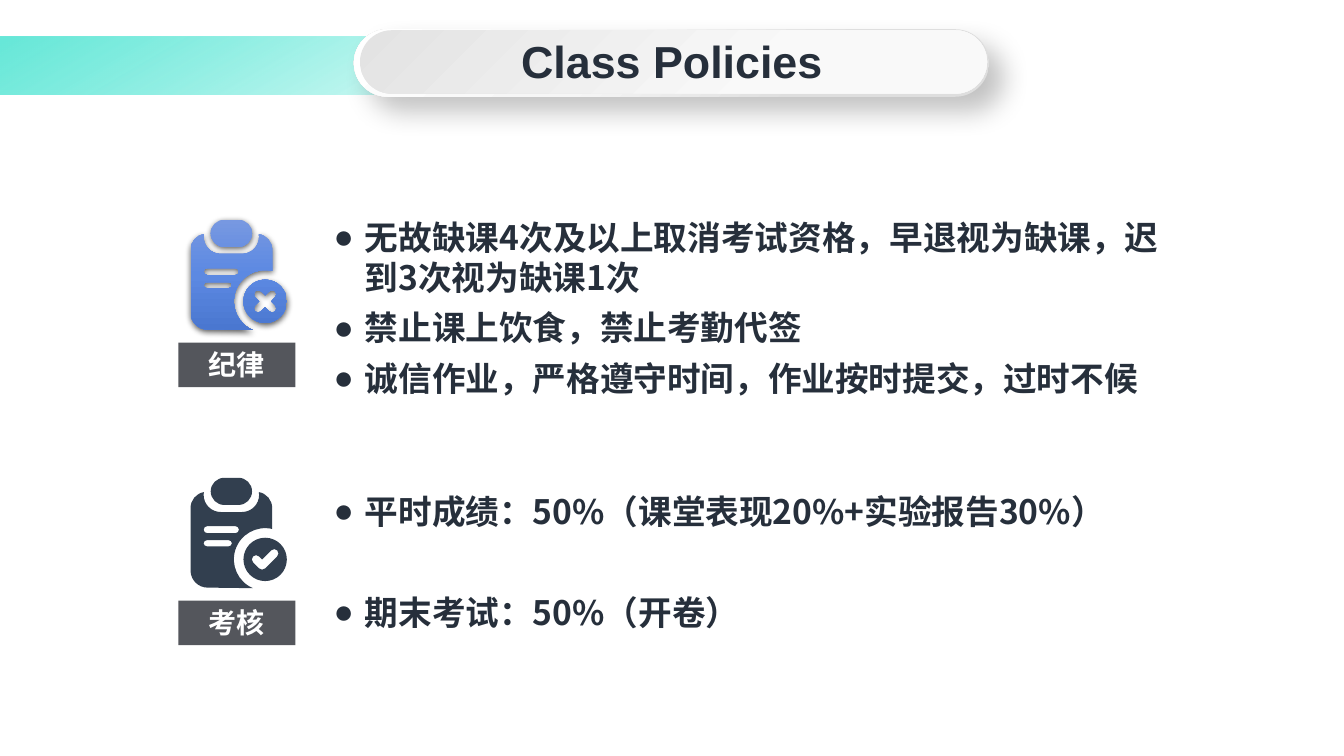
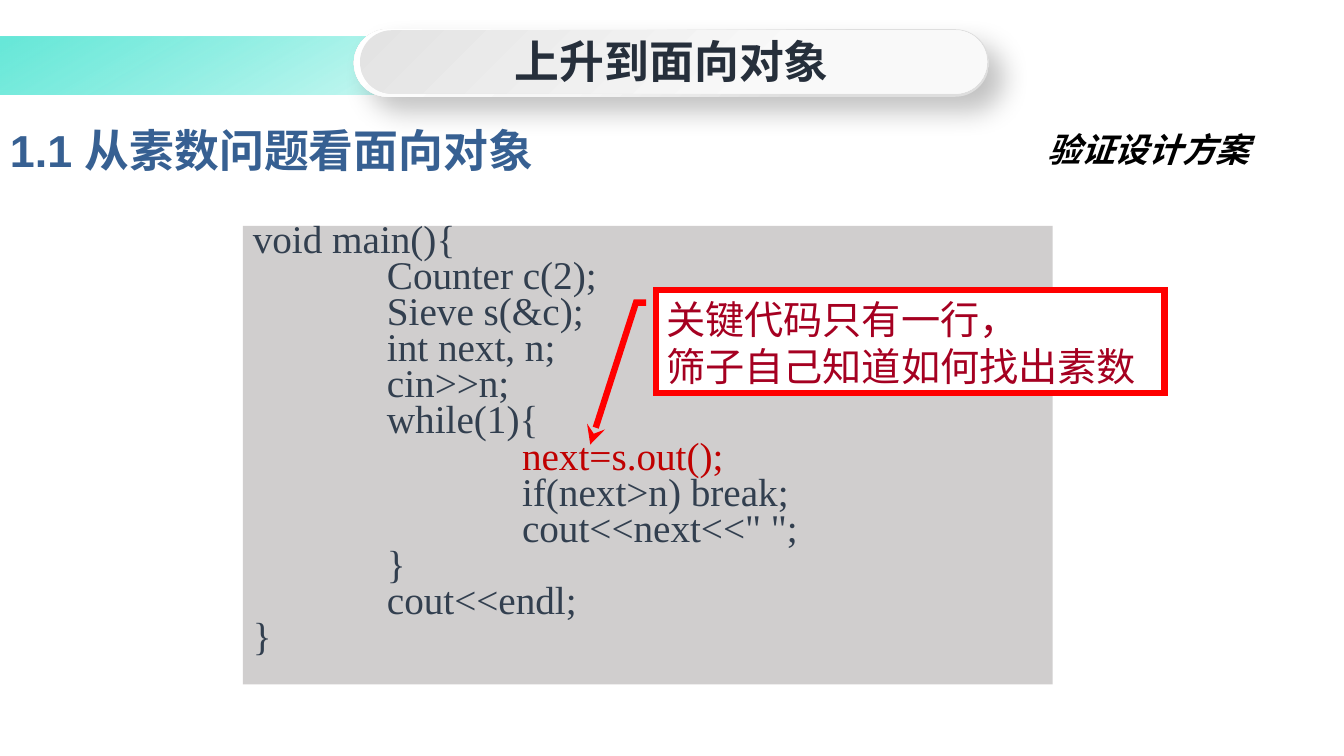
import math
from dataclasses import dataclass

import lxml.etree
import pptx
import pptx.dml.color
import pptx.enum.shapes
import pptx.enum.text
import pptx.oxml.ns
import pptx.util

EMU_PER_PX = 9144
UNITS_PER_PX = 100
SHAPE = pptx.enum.shapes.MSO_SHAPE
ALIGN = pptx.enum.text.PP_ALIGN
ANCHOR = pptx.enum.text.MSO_ANCHOR


@dataclass(frozen=True)
class Theme:
    ink: str = "262F3B"
    slate: str = "323F4F"
    label: str = "54565C"
    white: str = "FFFFFF"
    black: str = "000000"
    heading: str = "376092"
    code_back: str = "D0CECE"
    code_key: str = "C00000"
    callout_line: str = "FF0000"
    callout_text: str = "A50021"
    sans: str = "Arial"
    chinese: str = "Noto Sans CJK SC"
    serif: str = "Times New Roman"
    title_size: int = 32
    code_size: int = 28
    body_size: int = 24
    label_size: int = 20
    band: tuple = ((1, "4EE4D2", 85), (50, "20E2CB", 0))
    rim: tuple = ((1, "DEDEDE", 100), (30, "E0E0E0", 100),
                  (61, "F6F6F6", 100), (100, "FFFFFF", 100))
    plate: tuple = ((0, "E3E3E3", 100), (67, "F9F9F9", 100))
    blue: tuple = ((0, "7798E1", 100), (50, "5C89E2", 100), (100, "4A77D0", 100))


THEME = Theme()


def px(value):
    return pptx.util.Emu(round(value * EMU_PER_PX))


def rgb(value):
    return pptx.dml.color.RGBColor.from_string(value)


def apply_format(target, values):
    for name, value in values.items():
        setattr(target, name, value)


def add_xml(parent, tag, **attributes):
    element = lxml.etree.SubElement(parent, pptx.oxml.ns.qn(tag))
    for name, value in attributes.items():
        element.set(name, str(value))
    return element


def add_color(parent, color, opacity):
    element = add_xml(parent, "a:srgbClr", val=color)
    if opacity < 100:
        add_xml(element, "a:alpha", val=opacity * 1000)


def fill_solid(shape, color):
    shape.fill.solid()
    shape.fill.fore_color.rgb = rgb(color)


def fill_gradient(shape, stops, angle):
    shape.fill.background()
    properties = shape._element.spPr
    empty_fill = properties.find(pptx.oxml.ns.qn("a:noFill"))
    gradient = add_xml(properties, "a:gradFill", rotWithShape=1)
    stop_list = add_xml(gradient, "a:gsLst")
    for position, color, opacity in stops:
        add_color(add_xml(stop_list, "a:gs", pos=position * 1000), color, opacity)
    add_xml(gradient, "a:lin", ang=angle * 60000, scaled=0)
    properties.replace(empty_fill, gradient)


def cast_shadow(shape, opacity, blur, distance, angle):
    effects = shape._element.spPr.find(pptx.oxml.ns.qn("a:effectLst"))
    shadow = add_xml(effects, "a:outerShdw", blurRad=pptx.util.Pt(blur),
                     dist=pptx.util.Pt(distance), dir=angle * 60000,
                     algn="ctr", rotWithShape=0)
    add_color(shadow, THEME.black, opacity)


def add_box(slide, kind, left, top, width, height):
    shape = slide.shapes.add_shape(kind, px(left), px(top), px(width), px(height))
    shape.shadow.inherit = False
    shape.line.fill.background()
    return shape


def add_pill(slide, left, top, width, height):
    shape = add_box(slide, SHAPE.ROUNDED_RECTANGLE, left, top, width, height)
    shape.adjustments[0] = 0.5
    return shape


def add_text_box(slide, left, top, width, height):
    return slide.shapes.add_textbox(px(left), px(top), px(width), px(height))


def style_runs(paragraph, font, size, color, bold=False, italic=False):
    for run in paragraph.runs:
        apply_format(run.font, {"name": font, "size": pptx.util.Pt(size),
                                "bold": bold, "italic": italic})
        run.font.color.rgb = rgb(color)
        add_xml(run.font._element, "a:ea", typeface=THEME.chinese)


def write(shape, text, font, size, color, align=ALIGN.LEFT, anchor=ANCHOR.TOP,
          wrap=True, **style):
    frame = shape.text_frame
    apply_format(frame, {"word_wrap": wrap, "vertical_anchor": anchor})
    paragraph = frame.paragraphs[0]
    paragraph.text = text
    paragraph.alignment = align
    style_runs(paragraph, font, size, color, **style)
    return paragraph


def add_header(slide, title):
    band = add_box(slide, SHAPE.RECTANGLE, -1, 36, 1317, 58)
    fill_gradient(band, THEME.band, 60)
    rim = add_pill(slide, 351, 29, 630, 67)
    fill_gradient(rim, THEME.rim, 225)
    cast_shadow(rim, 24, 19, 14, 45)
    fill_gradient(add_pill(slide, 357, 30, 622, 63), THEME.plate, 45)
    write(add_text_box(slide, 381, 29, 571, 64), title, THEME.sans,
          THEME.title_size, THEME.ink, align=ALIGN.CENTER, bold=True)


def add_bullet(slide, text, top, height=50, width=838):
    paragraph = write(add_text_box(slide, 321, top, width, height), text,
                      THEME.chinese, THEME.body_size, THEME.ink,
                      align=ALIGN.JUSTIFY, bold=True)
    properties = paragraph._p.get_or_add_pPr()
    properties.set("marL", str(px(31)))
    properties.set("indent", str(px(-31)))
    add_xml(properties, "a:buFont", typeface=THEME.sans)
    add_xml(properties, "a:buChar", char="●")


def polar(x, y, radius, angle):
    turn = math.radians(angle)
    return x + radius * math.cos(turn), y + radius * math.sin(turn)


def arc(x, y, radius, start, end):
    count = math.ceil(abs(end - start) / 90)
    step = (end - start) / count
    handle = 4 / 3 * math.tan(math.radians(step) / 4)
    reach = radius * math.hypot(1, handle)
    lean = math.degrees(math.atan(handle))
    segments = [[polar(x, y, radius, start)]]
    for index in range(count):
        first = start + index * step
        last = first + step
        segments.append([polar(x, y, reach, first + lean),
                         polar(x, y, reach, last - lean),
                         polar(x, y, radius, last)])
    return segments


def capsule(left, top, width, height):
    radius = height / 2
    middle = top + radius
    return (arc(left + width - radius, middle, radius, -90, 90)
            + arc(left + radius, middle, radius, 90, 270))


def clipboard_contours():
    sheet = (arc(51, 17, 17, 0, 90) + arc(30, 17, 17, 90, 180)
             + arc(16, 30, 16, 260, 180) + arc(17, 92, 17, 180, 90)
             + arc(74, 81, 31, 113, 283) + arc(65, 30, 16, 0, -80))
    return [capsule(20, 0, 41, 27), sheet, capsule(13, 62, 28, 6),
            capsule(13, 48, 35, 7), arc(74, 81, 21.5, 0, 360)]


def check_contour():
    return (arc(65, 81, 4.2, 135, 315) + [[(71, 81)]]
            + arc(83, 75, 4.2, 225, 405) + arc(71, 87, 4.2, 45, 135))


def cross_contour():
    segments = []
    for angle in range(-45, 315, 90):
        segments += arc(*polar(74, 81, 10, angle), 4.2, angle - 90, angle + 90)
        segments.append([polar(74, 81, 6, angle + 45)])
    return segments


def bend_segments(shape, contours):
    outline = shape._element.spPr.find(".//" + pptx.oxml.ns.qn("a:path"))
    nodes = iter(list(outline))
    for contour in contours:
        for segment in contour:
            steps = [next(nodes) for _ in segment]
            if len(segment) == 3:
                curve = lxml.etree.Element(pptx.oxml.ns.qn("a:cubicBezTo"))
                steps[0].addprevious(curve)
                for step in steps:
                    curve.append(step[0])
                    outline.remove(step)
        next(nodes)


def add_clipboard(slide, left, top, mark):
    contours = clipboard_contours() + [mark]
    builder = None
    for contour in contours:
        points = [(round(x * UNITS_PER_PX), round(y * UNITS_PER_PX))
                  for segment in contour for x, y in segment]
        if builder is None:
            builder = slide.shapes.build_freeform(*points[0], EMU_PER_PX / UNITS_PER_PX)
        else:
            builder.move_to(*points[0])
        builder.add_line_segments(points[1:], close=True)
    shape = builder.convert_to_shape(px(left), px(top))
    bend_segments(shape, contours)
    shape.shadow.inherit = False
    shape.line.fill.background()
    return shape


def add_topic(slide, label, top, mark):
    icon = add_clipboard(slide, 189, top, mark)
    plate = add_box(slide, SHAPE.RECTANGLE, 177, top + 122, 116, 44)
    fill_solid(plate, THEME.label)
    write(plate, label, THEME.chinese, THEME.label_size, THEME.white,
          align=ALIGN.CENTER, bold=True)
    return icon


def add_code(slide, lines, key_line):
    shape = add_box(slide, SHAPE.RECTANGLE, 241, 224, 803, 455)
    fill_solid(shape, THEME.code_back)
    frame = shape.text_frame
    apply_format(frame, {"word_wrap": True, "vertical_anchor": ANCHOR.TOP})
    for number, line in enumerate(lines):
        paragraph = frame.add_paragraph() if number else frame.paragraphs[0]
        paragraph.text = line
        tabs = add_xml(paragraph._p.get_or_add_pPr(), "a:tabLst")
        for stop in (133, 267):
            add_xml(tabs, "a:tab", pos=px(stop), algn="l")
        apply_format(paragraph, {"alignment": ALIGN.LEFT, "line_spacing": 0.6,
                                 "space_before": pptx.util.Pt(5.6 if number else 0)})
        color = THEME.code_key if line.strip() == key_line else THEME.slate
        style_runs(paragraph, THEME.serif, THEME.code_size, color)


def add_callout(slide, text):
    shape = add_box(slide, SHAPE.LINE_CALLOUT_2, 651, 288, 504, 102)
    for index, value in enumerate((0.12, -0.02, 0.12, -0.04, 1.5, -0.13)):
        shape.adjustments[index] = value
    fill_solid(shape, THEME.white)
    shape.line.color.rgb = rgb(THEME.callout_line)
    shape.line.width = pptx.util.Pt(4.5)
    outline = shape.line._get_or_add_ln()
    add_xml(outline, "a:miter", lim=800000)
    add_xml(outline, "a:tailEnd", type="stealth")
    write(shape, text, THEME.serif, THEME.code_size, THEME.callout_text)


def build_policies(slide):
    add_header(slide, "Class Policies")
    fill_solid(add_topic(slide, "考核", 474, check_contour()), THEME.slate)
    add_bullet(slide, "平时成绩：50%（课堂表现20%+实验报告30%）", 482, width=921)
    add_bullet(slide, "期末考试：50%（开卷）", 582)
    discipline = add_topic(slide, "纪律", 218, cross_contour())
    fill_gradient(discipline, THEME.blue, 90)
    cast_shadow(discipline, 63, 4.5, 1.5, 90)
    add_bullet(slide, "无故缺课4次及以上取消考试资格，早退视为缺课，迟到3次视为缺课1次",
               210, height=131)
    add_bullet(slide, "诚信作业，严格遵守时间，作业按时提交，过时不候", 350)
    add_bullet(slide, "禁止课上饮食，禁止考勤代签", 300)


def build_objects(slide):
    add_header(slide, "上升到面向对象")
    write(add_text_box(slide, 0, 86, 1338, 125), "1.1 从素数问题看面向对象",
          THEME.sans, THEME.title_size, THEME.heading, anchor=ANCHOR.MIDDLE, bold=True)
    write(add_text_box(slide, 1029, 123, 220, 50), "验证设计方案", THEME.sans,
          THEME.body_size, THEME.black, align=ALIGN.RIGHT, wrap=False,
          bold=True, italic=True)
    code = ["void main(){", "\tCounter c(2);", "\tSieve s(&c);", "\tint next, n;",
            "\tcin>>n;", "\twhile(1){", "\t\tnext=s.out();",
            "\t\tif(next>n) break;", "\t\tcout<<next<<\" \";", "\t}",
            "\tcout<<endl;", "}"]
    add_code(slide, code, "next=s.out();")
    add_callout(slide, "关键代码只有一行，\v筛子自己知道如何找出素数")


def main():
    presentation = pptx.Presentation()
    apply_format(presentation, {"slide_width": px(1333), "slide_height": px(750)})
    for build in (build_policies, build_objects):
        build(presentation.slides.add_slide(presentation.slide_layouts[6]))
    presentation.save("out.pptx")


if __name__ == "__main__":
    main()
